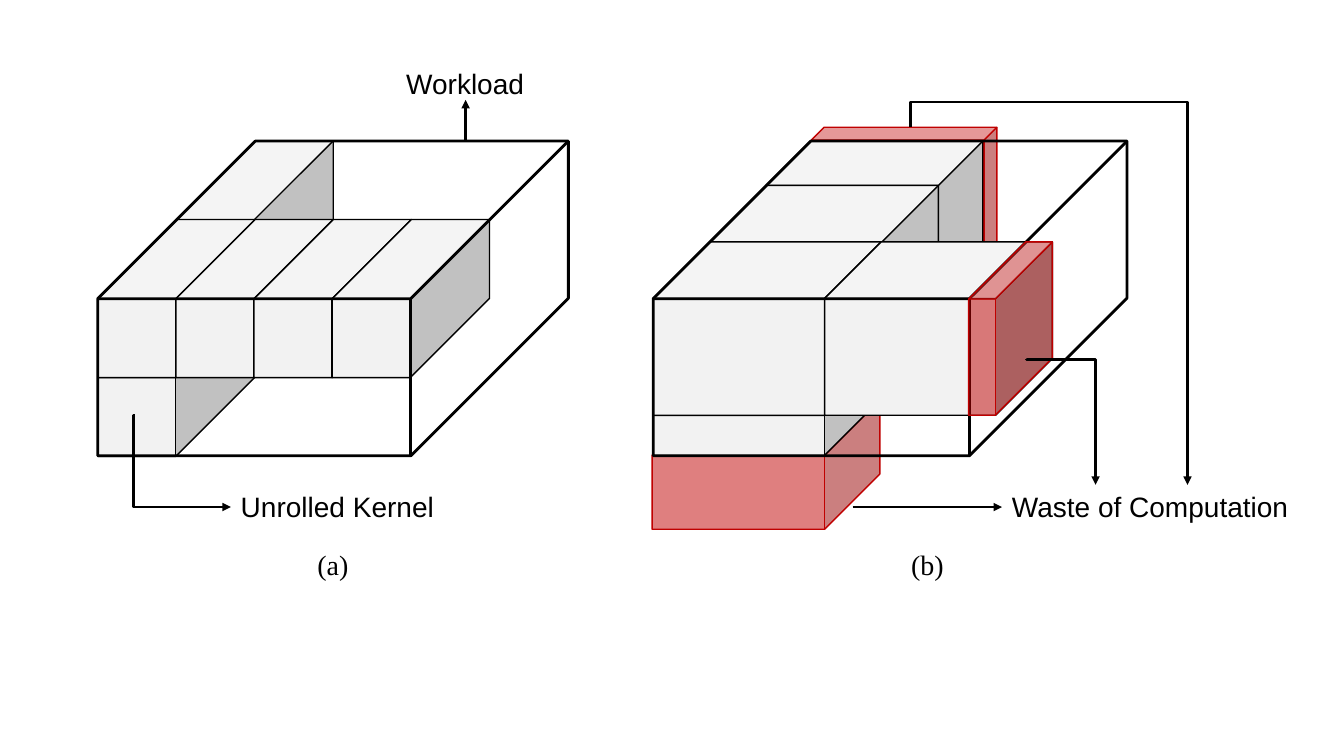
import pptx
import pptx.dml.color
import pptx.enum.shapes
import pptx.enum.text
import pptx.oxml
import pptx.oxml.ns
import pptx.util
import lxml.etree

Pt = pptx.util.Pt
qn = pptx.oxml.ns.qn

COLORS = {"ink": "000000", "kernel": "F2F2F2", "waste": "C00000"}

# Cube styles: fill colour, opacity in percent, line colour, line width
STYLES = {
    "kernel": ("kernel", 100, "ink", 1),
    "waste": ("waste", 50, "waste", 1),
    "workload": (None, 100, "ink", 2),
}

# Panel (a): equal kernels on a grid of (column, row)
GRID_LEFT, GRID_TOP = 69.84, 100.6
COLUMN_STEP, ROW_STEP = 55.8, 56.2
KERNEL_SIZE = (112.4, 113)
KERNEL_CELLS = [(1, 0), (0, 2), (0, 1), (1, 1), (2, 1), (3, 1)]

# Cubes from back to front: style, left, top, width, height, depth ratio
HIDDEN_WASTE = [
    ("waste", 579.6, 90.9, 132.5, 121, 0.075),
    ("waste", 465.8, 285.8, 162.7, 92.2, 0.427),
]
KERNELS_A = [
    ("kernel", GRID_LEFT + column * COLUMN_STEP, GRID_TOP + row * ROW_STEP,
     *KERNEL_SIZE, 0.504)
    for column, row in KERNEL_CELLS
]
KERNELS_B = [
    ("kernel", 466.6, 256.3, 162.7, 69.1, 0.586),
    ("kernel", 547.2, 100.8, 154.8, 115.9, 0.272),
    ("kernel", 507.6, 132.5, 162.7, 123.8, 0.327),
    ("kernel", 466.6, 172.8, 162.7, 123.8, 0.327),
    ("kernel", 589, 172.8, 162.7, 123.8, 0.327),
]
FRONT_CUBES = [
    ("workload", GRID_LEFT, 100.8, 336.2, 224.8, 0.501),
    ("workload", 466.6, 100.8, 338.4, 224.8, 0.501),
    ("waste", 691.9, 172.8, 59.8, 123.8, 0.682),
]
CUBES = HIDDEN_WASTE + KERNELS_A + KERNELS_B + FRONT_CUBES

# Arrows: start, end, bend ratio (None is straight), leaves vertically
ARROWS = [
    ((332.6, 100.8), (332.6, 71.3), None, False),
    ((96.5, 296.6), (164.9, 362.2), -0.013, False),
    ((609.1, 362.2), (715.7, 362.2), None, False),
    ((733, 256.3), (782.6, 346.3), 0.005, True),
    ((650.2, 90.7), (848.2, 346.3), -0.07, True),
]

# Labels: text, left, top, width, font
LABELS = [
    ("Workload", 283, 43.9, 99.4, "Arial"),
    ("Unrolled Kernel", 164.9, 346.3, 154.1, "Arial"),
    ("Waste of Computation", 715.7, 346.3, 213.1, "Arial"),
    ("(a)", 219.6, 387.4, 36.7, "Times New Roman"),
    ("(b)", 643.7, 387.4, 38.2, "Times New Roman"),
]
LABEL_HEIGHT, LABEL_SIZE = 31.5, 20


def rgb(name):
    """Return the named colour."""
    return pptx.dml.color.RGBColor.from_string(COLORS[name])


def add_cube(slide, style, left, top, width, height, depth):
    """Draw one cube in the given style."""
    fill, opacity, line, line_width = STYLES[style]
    cube = slide.shapes.add_shape(
        pptx.enum.shapes.MSO_SHAPE.CUBE,
        Pt(left), Pt(top), Pt(width), Pt(height))
    cube.adjustments[0] = depth
    cube.shadow.inherit = False
    cube.line.color.rgb = rgb(line)
    cube.line.width = Pt(line_width)
    if fill is None:
        cube.fill.background()
        return
    cube.fill.solid()
    cube.fill.fore_color.rgb = rgb(fill)
    if opacity < 100:
        color = cube.element.spPr.find(qn("a:solidFill")).find(qn("a:srgbClr"))
        lxml.etree.SubElement(color, qn("a:alpha"), val=str(opacity * 1000))


def add_arrow(slide, start, end, bend, vertical):
    """Draw a straight or bent connector with an arrowhead at its end."""
    kinds = pptx.enum.shapes.MSO_CONNECTOR
    kind = kinds.STRAIGHT if bend is None else kinds.ELBOW
    (x1, y1), (x2, y2) = start, end
    if vertical:
        # A quarter turn about the centre swaps width and height
        middle_x, middle_y = (x1 + x2) / 2, (y1 + y2) / 2
        half_width, half_height = (y2 - y1) / 2, (x2 - x1) / 2
        x1, x2 = middle_x - half_width, middle_x + half_width
        y1, y2 = middle_y - half_height, middle_y + half_height
    arrow = slide.shapes.add_connector(kind, Pt(x1), Pt(y1), Pt(x2), Pt(y2))
    arrow.line.color.rgb = rgb("ink")
    arrow.line.width = Pt(2)
    properties = arrow.element.spPr
    if vertical:
        frame = properties.find(qn("a:xfrm"))
        frame.set("rot", str(270 * 60000))
        frame.set("flipH", "1")
    if bend is not None:
        guides = properties.find(qn("a:prstGeom")).find(qn("a:avLst"))
        lxml.etree.SubElement(guides, qn("a:gd"), name="adj1",
                              fmla=f"val {round(bend * 100000)}")
    lxml.etree.SubElement(properties.find(qn("a:ln")), qn("a:tailEnd"),
                          type="triangle")
    lxml.etree.SubElement(properties, qn("a:effectLst"))


def add_label(slide, text, left, top, width, font):
    """Write one unwrapped line of text."""
    box = slide.shapes.add_textbox(Pt(left), Pt(top), Pt(width),
                                   Pt(LABEL_HEIGHT))
    box.text_frame.word_wrap = False
    box.text_frame.auto_size = pptx.enum.text.MSO_AUTO_SIZE.SHAPE_TO_FIT_TEXT
    run = box.text_frame.paragraphs[0].add_run()
    run.text = text
    run.font.name = font
    run.font.size = Pt(LABEL_SIZE)
    run.font.color.rgb = rgb("ink")


presentation = pptx.Presentation()
presentation.slide_width, presentation.slide_height = Pt(960), Pt(540)
slide = presentation.slides.add_slide(presentation.slide_layouts[6])
for cube in CUBES:
    add_cube(slide, *cube)
for arrow in ARROWS:
    add_arrow(slide, *arrow)
for label in LABELS:
    add_label(slide, *label)
presentation.save("out.pptx")
